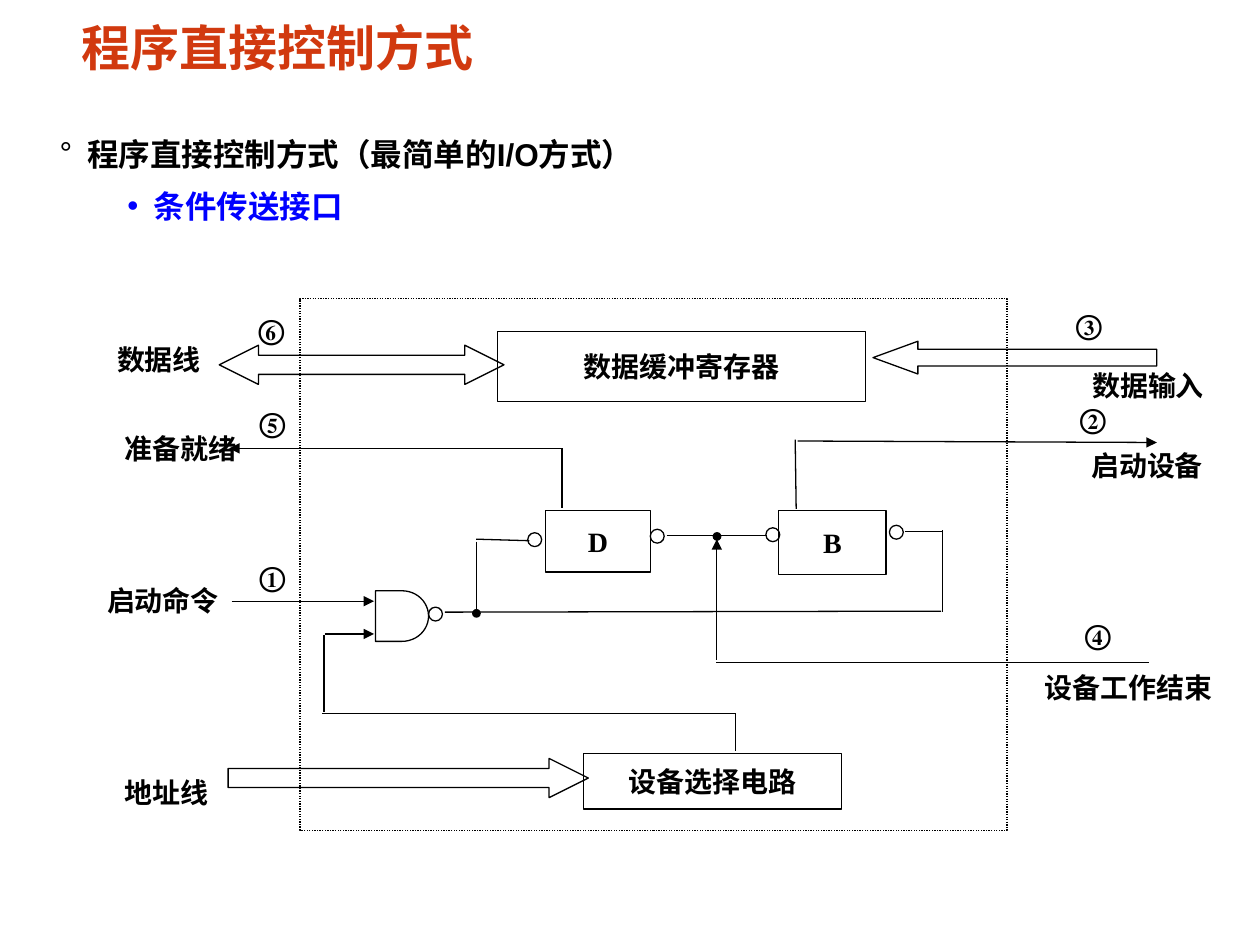
"""Builds a slide on programmed I/O with a conditional transfer interface circuit."""
from typing import NamedTuple

from pptx import Presentation
from pptx import util as u
from pptx.dml.color import RGBColor
from pptx.enum import dml, shapes, text
from pptx.oxml.ns import qn
from lxml import etree

INK = "000000"
SHAPE = shapes.MSO_SHAPE
INVERTER, DOT = 0.28, 0.15


class Part(NamedTuple):
    kind: SHAPE
    left: float
    top: float
    width: float
    height: float
    words: str = ""
    adjust: tuple = ()
    filled: bool = False
    dotted: bool = False


class Wire(NamedTuple):
    x1: float
    y1: float
    x2: float
    y2: float
    arrow: str = ""


class Label(NamedTuple):
    words: str
    left: float
    top: float
    width: float
    height: float


class Item(NamedTuple):
    words: str
    level: int
    margin: float
    hanging: float
    bullet: str
    before: float
    colour: str


PARTS = [
    Part(SHAPE.RECTANGLE, 10.03, 6.68, 7.42, 1.42, "数据缓冲寄存器"),
    Part(SHAPE.LEFT_RIGHT_ARROW, 4.42, 6.96, 5.74, 0.79, adjust=(0.49, 1)),
    Part(SHAPE.LEFT_ARROW, 17.6, 6.88, 5.72, 0.66, adjust=(0.51, 1.37)),
    Part(SHAPE.RECTANGLE, 11, 10.29, 2.11, 1.24, "D"),
    Part(SHAPE.RECTANGLE, 15.7, 10.29, 2.16, 1.3, "B"),
    Part(SHAPE.RIGHT_ARROW, 4.6, 15.29, 7.26, 0.79, adjust=(0.49, 1)),
    Part(SHAPE.RECTANGLE, 11.76, 15.19, 5.21, 1.12, "设备选择电路"),
    Part(SHAPE.FLOWCHART_DELAY, 7.57, 11.91, 1.07, 1.02),
    Part(SHAPE.RECTANGLE, 6.05, 6.02, 14.25, 10.72, dotted=True),
]
INVERTERS = [(13.11, 10.67), (15.44, 10.64), (10.64, 10.74), (17.93, 10.59), (8.64, 12.24)]
DOTS = [(14.38, 10.74), (9.53, 12.29)]
PARTS += [Part(SHAPE.OVAL, x, y, INVERTER, INVERTER) for x, y in INVERTERS]
PARTS += [Part(SHAPE.OVAL, x, y, DOT, DOT, filled=True) for x, y in DOTS]

WIRES = [
    Wire(13.44, 10.8, 15.47, 10.8),
    Wire(14.45, 10.87, 14.45, 13.31, "headEnd"),
    Wire(23.16, 13.36, 14.43, 13.36),
    Wire(9.6, 10.92, 9.6, 12.29),
    Wire(8.97, 12.34, 18.97, 12.32),
    Wire(18.24, 10.72, 19, 10.72),
    Wire(19, 10.69, 19, 12.34),
    Wire(11.33, 9.04, 11.33, 10.24),
    Wire(11.33, 9.04, 4.62, 9.04, "tailEnd"),
    Wire(16.03, 8.86, 16.05, 10.26),
    Wire(23.32, 8.92, 16.08, 8.89, "headEnd"),
    Wire(14.83, 14.4, 14.83, 15.14),
    Wire(6.5, 14.38, 14.83, 14.38),
    Wire(4.67, 12.12, 7.54, 12.12, "tailEnd"),
    Wire(6.55, 12.78, 7.54, 12.78, "tailEnd"),
    Wire(6.53, 12.8, 6.53, 14.35),
    Wire(9.6, 10.87, 10.67, 10.9),
]

LABELS = [
    Label("数据输入", 21.84, 7.34, 2.95, 1.02),
    Label("设备工作结束", 20.88, 13.41, 3.78, 1.07),
    Label("数据线", 2.18, 6.81, 2.31, 1.02),
    Label("准备就绪", 2.34, 8.61, 2.95, 1.07),
    Label("启动命令", 1.98, 11.66, 2.72, 0.99),
    Label("地址线", 2.34, 15.54, 2.34, 0.99),
    Label("启动设备", 21.82, 8.94, 2.74, 1.09),
    Label("④", 21.69, 12.34, 1.7, 1.07),
    Label("⑥", 5.03, 6.2, 1.55, 0.99),
    Label("⑤", 5.05, 8.08, 1.35, 1.09),
    Label("①", 5.05, 11.18, 1.55, 0.97),
    Label("②", 21.59, 8, 1.55, 0.97),
    Label("③", 21.51, 6.1, 1.45, 1.04),
]

ITEMS = [
    Item("程序直接控制方式（最简单的I/O方式）", 0, 0.56, 0.56, "°", 0, INK),
    Item("条件传送接口", 1, 1.9, 0.53, "•", 3.6, "0000FF"),
]


def rgb(colour: str) -> RGBColor:
    return RGBColor.from_string(colour)


def apply(target, formats: dict) -> None:
    for name, value in formats.items():
        setattr(target, name, value)


def style(para, size: float, font: str, colour: str) -> None:
    for target in (para.font, *(span.font for span in para.runs)):
        apply(target, {"size": u.Pt(size), "name": font, "bold": True})
        target.color.rgb = rgb(colour)


def set_frame(frame, side: float, edge: float, anchor) -> None:
    apply(frame, {"word_wrap": True, "vertical_anchor": anchor,
                  "margin_left": u.Cm(side), "margin_right": u.Cm(side),
                  "margin_top": u.Cm(edge), "margin_bottom": u.Cm(edge)})


def place(box, left: float, top: float, width: float, height: float) -> None:
    apply(box, {"left": u.Cm(left), "top": u.Cm(top),
                "width": u.Cm(width), "height": u.Cm(height)})
    set_frame(box.text_frame, 0.18, 0.08, text.MSO_ANCHOR.TOP)
    box.text_frame.auto_size = text.MSO_AUTO_SIZE.SHAPE_TO_FIT_TEXT


def write(box, words: str, align, anchor) -> None:
    set_frame(box.text_frame, 0.18, 0.1, anchor)
    para = box.text_frame.paragraphs[0]
    para.text, para.alignment = words, align
    style(para, 16, "Times New Roman", INK)


def draw_line(line) -> None:
    line.color.rgb = rgb(INK)
    line.width = u.Pt(0.75)


def draw_part(page, part: Part) -> None:
    box = page.shapes.add_shape(part.kind, *map(u.Cm, part[1:5]))
    box.shadow.inherit = False
    for index, value in enumerate(part.adjust):
        box.adjustments[index] = value
    if part.filled:
        box.fill.solid()
        box.fill.fore_color.rgb = rgb(INK)
    else:
        box.fill.background()
    draw_line(box.line)
    if part.dotted:
        box.line.dash_style = dml.MSO_LINE.ROUND_DOT
    if part.words:
        write(box, part.words, text.PP_ALIGN.CENTER, text.MSO_ANCHOR.MIDDLE)


def draw_wire(page, wire: Wire) -> None:
    link = page.shapes.add_connector(shapes.MSO_CONNECTOR.STRAIGHT, *map(u.Cm, wire[:4]))
    draw_line(link.line)
    if wire.arrow:
        etree.SubElement(link.line._get_or_add_ln(), qn("a:" + wire.arrow), type="triangle")
    etree.SubElement(link._element.spPr, qn("a:effectLst"))


def draw_label(page, label: Label) -> None:
    box = page.shapes.add_textbox(*map(u.Cm, label[1:]))
    write(box, label.words, text.PP_ALIGN.LEFT, text.MSO_ANCHOR.TOP)


def fill_title(box) -> None:
    place(box, 1.47, 0.43, 22.05, 1.17)
    para = box.text_frame.paragraphs[0]
    para.text = "程序直接控制方式"
    apply(para, {"alignment": text.PP_ALIGN.LEFT, "line_spacing": 0.87})
    style(para, 28, "Arial", "D1390F")


def fill_body(box) -> None:
    place(box, 1.02, 2.49, 23.34, 2.06)
    frame = box.text_frame
    for index, item in enumerate(ITEMS):
        para = frame.add_paragraph() if index else frame.paragraphs[0]
        apply(para, {"text": item.words, "level": item.level, "line_spacing": 1.2,
                     "space_before": u.Pt(item.before)})
        props = para._p.get_or_add_pPr()
        props.set("marL", str(u.Cm(item.margin)))
        props.set("indent", str(-u.Cm(item.hanging)))
        etree.SubElement(props, qn("a:buChar"), char=item.bullet)
        style(para, 18, "Arial", item.colour)


def main() -> None:
    deck = Presentation()
    apply(deck, {"slide_width": u.Cm(25.4), "slide_height": u.Cm(19.05)})
    page = deck.slides.add_slide(deck.slide_layouts[1])
    fill_title(page.shapes.title)
    fill_body(page.placeholders[1])
    for draw, entries in ((draw_part, PARTS), (draw_wire, WIRES), (draw_label, LABELS)):
        for entry in entries:
            draw(page, entry)
    deck.save("out.pptx")


if __name__ == "__main__":
    main()
